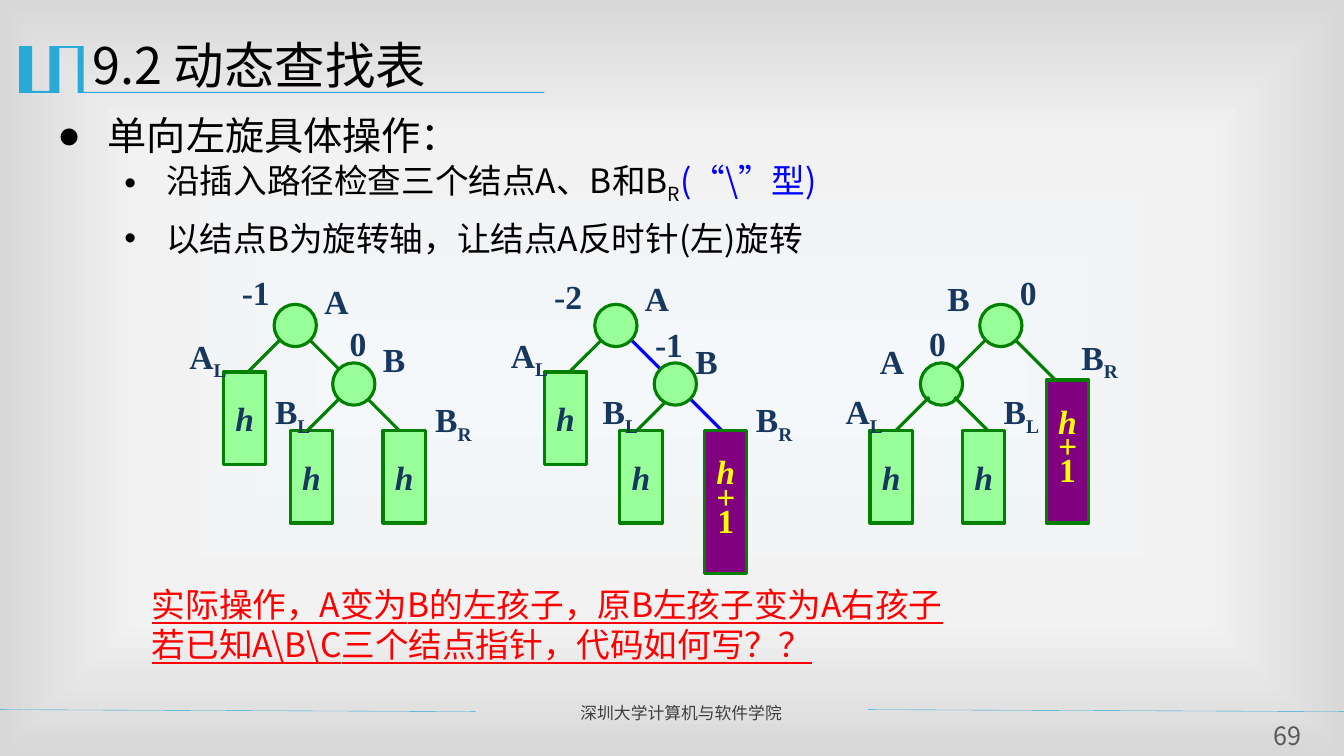
from lxml import etree
from pptx import Presentation
from pptx.dml.color import RGBColor
from pptx.enum.shapes import MSO_CONNECTOR as LINE, MSO_SHAPE as SHAPE
from pptx.enum.text import MSO_ANCHOR as ANCHOR, MSO_AUTO_SIZE as AUTO, PP_ALIGN as ALIGN
from pptx.oxml import parse_xml
from pptx.oxml.ns import nsdecls, qn
from pptx.util import Pt

CJK, SERIF = "Noto Sans CJK SC", "Times New Roman"
BLACK = RGBColor(0, 0, 0)
BLUE = RGBColor(0, 0, 0xFF)
RED = RGBColor(0xFF, 0, 0)
GREEN = RGBColor(0, 0x80, 0)
MINT = RGBColor(0x99, 0xFF, 0x99)
PURPLE = RGBColor(0x80, 0, 0x80)
YELLOW = RGBColor(0xFF, 0xFF, 0)
NAVY = RGBColor(0x17, 0x37, 0x5E)
SKY = RGBColor(0x28, 0xA9, 0xD6)
DARK_GRAY = RGBColor(0x3F, 0x3F, 0x3F)
GRAY = RGBColor(0x59, 0x59, 0x59)

deck = Presentation()
deck.slide_width, deck.slide_height = Pt(960), Pt(540)
page = deck.slides.add_slide(deck.slide_layouts[1])
shapes = page.shapes


def write(para, text, size, color, font=CJK, sub=False):
    span = para.add_run()
    span.text = text
    span.font.size = Pt(size)
    span.font.color.rgb = color
    span.font.name = font
    span.font.bold = font == SERIF
    props = span._r.get_or_add_rPr()
    etree.SubElement(props, qn("a:ea")).set("typeface", font)
    if sub:
        props.set("baseline", "-25000")
    return span


def draw_line(x1, y1, x2, y2, color, width):
    line = shapes.add_connector(LINE.STRAIGHT, Pt(x1), Pt(y1), Pt(x2), Pt(y2))
    line.line.color.rgb = color
    line.line.width = Pt(width)
    etree.SubElement(line._element.spPr, qn("a:effectLst"))


# Background: rectangular gradient from the centre
stops = "".join(f'<a:gs pos="{pos}"><a:srgbClr val="{color}"/></a:gs>' for pos, color in
                [(0, "F4F8FB"), (63000, "F2F2F2"), (100000, "D8D8D8")])
page._element.cSld.insert(0, parse_xml(
    f'<p:bg {nsdecls("p", "a")}><p:bgPr><a:gradFill rotWithShape="1"><a:gsLst>{stops}</a:gsLst>'
    '<a:path path="rect"><a:fillToRect l="50000" t="50000" r="50000" b="50000"/></a:path>'
    '</a:gradFill><a:effectLst/></p:bgPr></p:bg>'))

# Title ornament with underline
outline = [(59, 33), (59.8, 33), (59.8, 65.7), (388.8, 65.7), (388.8, 66.4), (55.5, 66.4),
           (55.5, 34.3), (42.5, 34.3), (42.5, 66.4), (13.7, 66.4), (13.7, 33), (23, 33),
           (23, 65), (35.3, 65), (35.3, 33)]
builder = shapes.build_freeform(Pt(outline[0][0]), Pt(outline[0][1]))
builder.add_line_segments([(Pt(x), Pt(y)) for x, y in outline[1:]], close=True)
ornament = builder.convert_to_shape()
ornament.shadow.inherit = False
ornament.fill.solid()
ornament.fill.fore_color.rgb = SKY
ornament.line.fill.background()

# Title
title = shapes.title
title.left, title.top, title.width, title.height = Pt(59), Pt(17.3), Pt(864), Pt(62.6)
title.text_frame.auto_size = AUTO.NONE
title.text_frame.vertical_anchor = ANCHOR.TOP
para = title.text_frame.paragraphs[0]
para.alignment = ALIGN.LEFT
para.line_spacing = Pt(47)
write(para, "9.2 动态查找表", 36, BLACK)

# Bulleted list: level, bullet, margin, hanging, size, line height, runs
body = page.placeholders[1]
body.left, body.top, body.width, body.height = Pt(33.8), Pt(75), Pt(873.4), Pt(131.8)
body.text_frame.auto_size = AUTO.NONE
items = [
    (0, "●", 36, 36, 28, 34.5, [("单向左旋具体操作：", BLACK, False)]),
    (1, "•", 77.8, 30, 24, 29, [("沿插入路径检查三个结点A、B和B", BLACK, False),
                                ("R", BLACK, True), ("(“\\”型)", BLUE, False)]),
    (1, "•", 77.8, 30, 24, 33, [("以结点B为旋转轴，让结点A反时针(左)旋转", BLACK, False)]),
]
for index, (level, bullet, margin, hanging, size, height, runs) in enumerate(items):
    para = body.text_frame.add_paragraph() if index else body.text_frame.paragraphs[0]
    para.level = level
    props = para._p.get_or_add_pPr()
    props.set("marL", str(Pt(margin)))
    props.set("indent", str(-Pt(hanging)))
    etree.SubElement(props, qn("a:buChar")).set("char", bullet)
    para.line_spacing = Pt(height)
    para.space_before = Pt(4.8 if index else 0)
    for text, color, sub in runs:
        write(para, text, size, color, sub=sub)

# Rotation trees: edges (x, y, run, colour) slope down at 45 degrees
trees = [
    {"edges": [(219.6, 241.2, 36, GREEN), (261.4, 283.7, 36, GREEN),
               (201.6, 241.2, -30, GREEN), (243.4, 283.7, -30, GREEN)],
     "nodes": [(195.8, 217.4), (237.6, 259.2)],
     "front_edges": [],
     "subtrees": [(159.8, 265.7, "h"), (207.4, 307.4, "h"), (273.6, 307.4, "h")],
     "labels": [("A", 224.6, 197.3), ("B", 266.4, 238.3), ("BR", 303.8, 281.5),
                ("AL", 128.2, 236.2), ("BL", 189.4, 275.8), ("-1", 165.6, 190.8),
                ("0", 242.6, 226.8)]},
    {"edges": [(485.3, 277.2, 36, BLUE), (485.3, 277.2, -30, GREEN),
               (431.3, 241.2, -30, GREEN), (442.8, 234.7, 36, BLUE)],
     "nodes": [(467.3, 259.2), (424.8, 217.4)],
     "front_edges": [],
     "subtrees": [(442.8, 307.4, "h"), (388.8, 265.7, "h"), (503.3, 307.4, "h+1")],
     "labels": [("AL", 357.8, 235.4), ("A", 453.6, 195.1), ("B", 489.6, 239.8),
                ("BR", 532.8, 281.5), ("BL", 423.4, 275.8), ("-2", 388.8, 193.7),
                ("-1", 460.8, 228.2)]},
    {"edges": [(717.8, 235.4, 36, GREEN), (705.6, 241.2, -30, GREEN)],
     "nodes": [(657.4, 259.2), (699.8, 217.4)],
     "front_edges": [(663.8, 283.7, -30, GREEN), (681.8, 283.7, 36, GREEN)],
     "subtrees": [(621.4, 307.4, "h"), (687.6, 307.4, "h"), (747.4, 271.4, "h+1")],
     "labels": [("B", 669.6, 195.1), ("BR", 765.4, 236.9), ("A", 621.4, 239.8),
                ("AL", 596.9, 275.8), ("BL", 709.9, 275.8), ("0", 656.6, 226.8),
                ("0", 721.4, 190.8)]},
]
label_widths = {"A": 31.7, "B": 30.2, "AL": 42.5, "BL": 41, "BR": 41.8,
                "-1": 34.6, "-2": 34.6, "0": 26.6}
for tree in trees:
    for x, y, run, color in tree["edges"]:
        draw_line(x, y, x + run, y + abs(run), color, 2.25)
    blocks = [(SHAPE.OVAL, x, y, 30.2, "") for x, y in tree["nodes"]]
    blocks += [(SHAPE.RECTANGLE, x, y, 66.2 if text == "h" else 102.2, text)
               for x, y, text in tree["subtrees"]]
    for index, (kind, x, y, height, text) in enumerate(blocks):
        if index == len(tree["nodes"]):
            for start_x, start_y, run, color in tree["front_edges"]:
                draw_line(start_x, start_y, start_x + run, start_y + abs(run), color, 2.25)
        block = shapes.add_shape(kind, Pt(x), Pt(y), Pt(30.2), Pt(height))
        block.shadow.inherit = False
        block.fill.solid()
        block.fill.fore_color.rgb = PURPLE if text == "h+1" else MINT
        block.line.color.rgb = GREEN
        block.line.width = Pt(2.25)
        frame = block.text_frame
        frame.word_wrap = False
        frame.vertical_anchor = ANCHOR.MIDDLE
        for place, letter in enumerate(text):
            para = frame.add_paragraph() if place else frame.paragraphs[0]
            para.alignment = ALIGN.CENTER
            if text == "h+1":
                para.line_spacing = 0.6
            span = write(para, letter, 24, YELLOW if text == "h+1" else NAVY, SERIF)
            span.font.italic = letter != "1"
    for text, x, y in tree["labels"]:
        label = shapes.add_textbox(Pt(x), Pt(y), Pt(label_widths[text]), Pt(36))
        label.text_frame.word_wrap = False
        label.text_frame.auto_size = AUTO.SHAPE_TO_FIT_TEXT
        para = label.text_frame.paragraphs[0]
        if text[-1] in "LR":
            write(para, text[0], 24, NAVY, SERIF)
            write(para, text[1], 24, NAVY, SERIF, sub=True)
        else:
            write(para, text, 24, NAVY, SERIF)

# Closing question
question = shapes.add_textbox(Pt(65.5), Pt(414), Pt(688.3), Pt(65.5))
question.text_frame.word_wrap = True
for index, text in enumerate(["实际操作，A变为B的左孩子，原B左孩子变为A右孩子",
                              "若已知A\\B\\C三个结点指针，代码如何写？？"]):
    para = question.text_frame.add_paragraph() if index else question.text_frame.paragraphs[0]
    para._p.get_or_add_pPr().set("marL", str(Pt(36)))
    para.line_spacing = Pt(28.6)
    write(para, text, 24, RED).font.underline = True

# Footer rules, school name and page number
for left, right in [(-0.7, 339.8), (619.9, 960)]:
    draw_line(left, 506.9, right, 508.3, SKY, 0.25)
school = shapes.add_textbox(Pt(407.5), Pt(497.5), Pt(205.2), Pt(21.6))
school.text_frame.word_wrap = True
para = school.text_frame.paragraphs[0]
para.alignment = ALIGN.JUSTIFY
para.line_spacing = Pt(15.5)
write(para, "深圳大学计算机与软件学院", 12, DARK_GRAY)

number = shapes.add_textbox(Pt(898.6), Pt(513.4), Pt(42.5), Pt(22.3))
frame = number.text_frame
frame.word_wrap = True
frame.margin_left = frame.margin_right = frame.margin_top = frame.margin_bottom = 0
para = frame.paragraphs[0]
para.alignment = ALIGN.CENTER
para.line_spacing = Pt(23)
write(para, "69", 18, GRAY)

deck.save("out.pptx")
